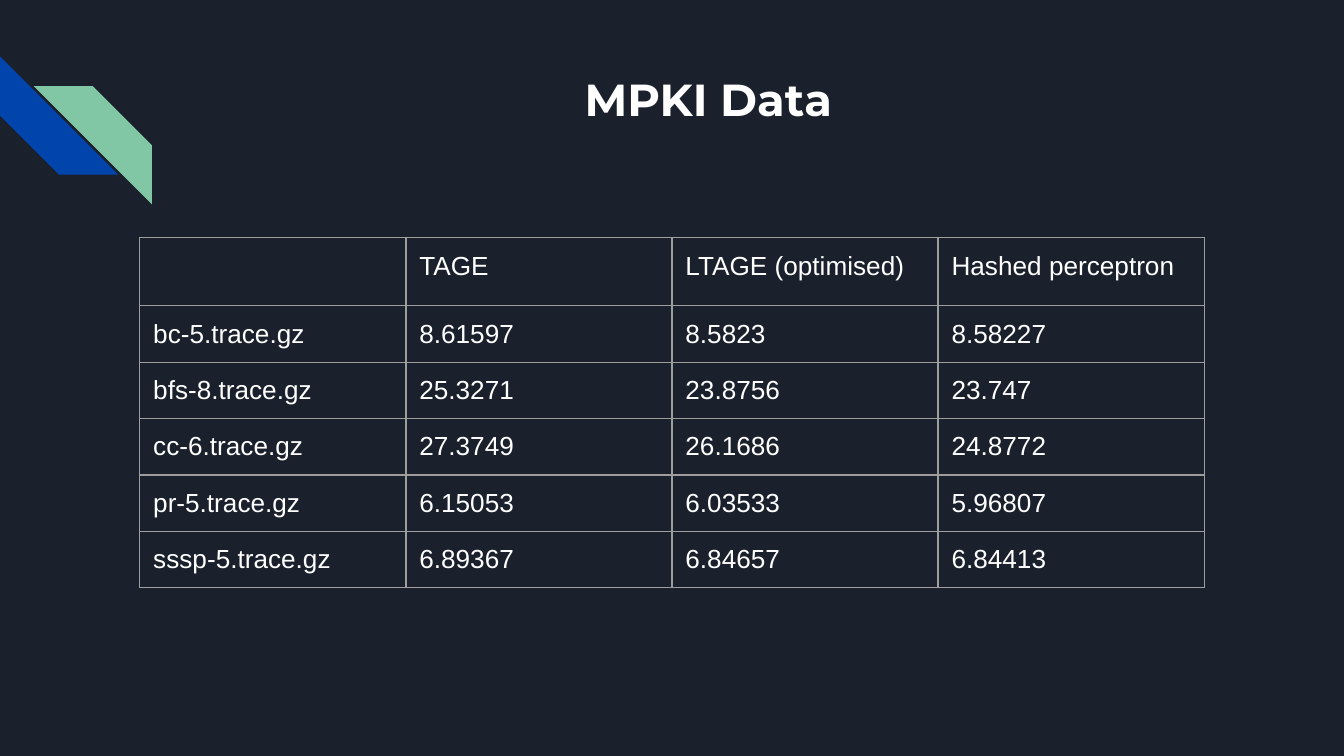
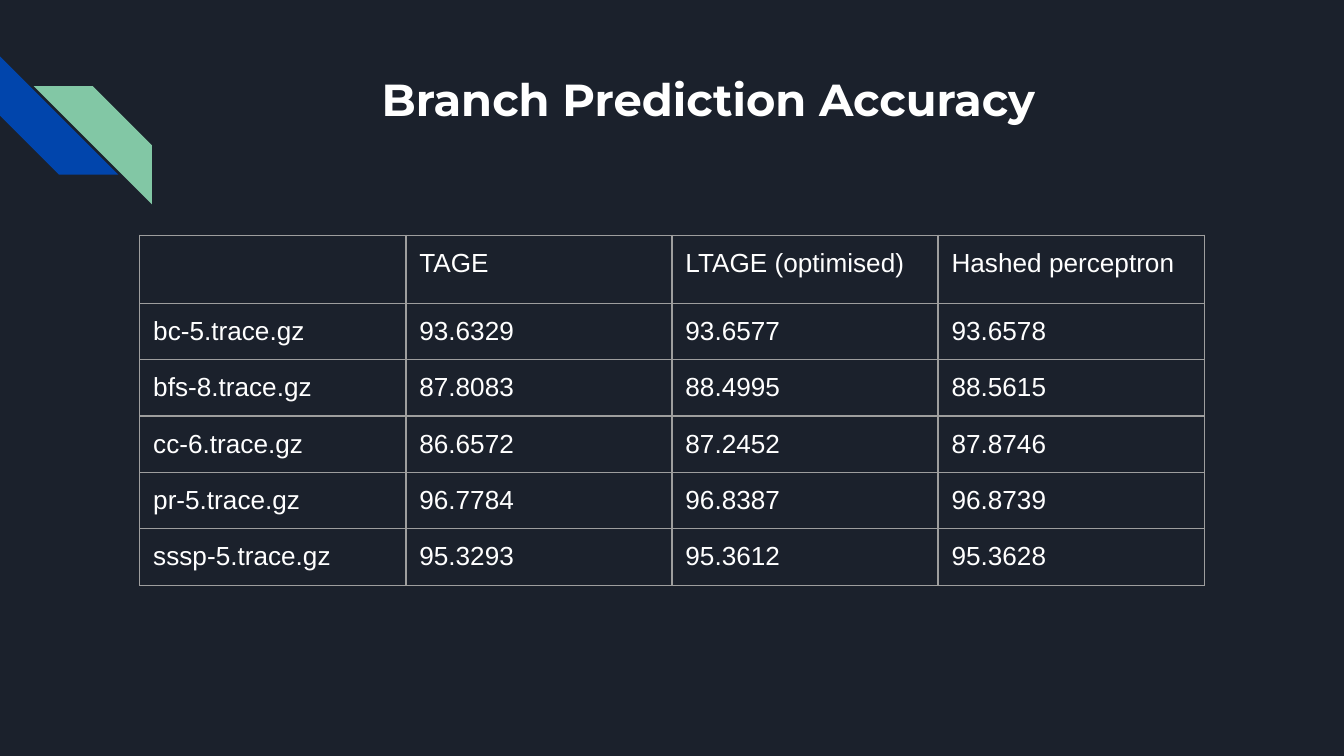
from lxml.etree import SubElement
from pptx import Presentation
from pptx.dml.color import RGBColor
from pptx.enum.shapes import MSO_SHAPE
from pptx.enum.text import MSO_ANCHOR, MSO_AUTO_SIZE, PP_ALIGN
from pptx.oxml.ns import qn
from pptx.util import Inches, Pt

NAVY = RGBColor(0x1B, 0x21, 0x2C)
BLUE = RGBColor(0x01, 0x45, 0xAC)
GREEN = RGBColor(0x82, 0xC7, 0xA5)
WHITE = RGBColor(0xFF, 0xFF, 0xFF)
GREY = RGBColor(0x9E, 0x9E, 0x9E)

# Table grid
TABLE_LEFT = Inches(1.04)
COLUMN_WIDTH = Inches(1.98)
ROW_HEIGHT = Inches(0.42)
INSET = Inches(0.1)
STRIPE_SIZE = Inches(0.88)

# Contents
PREDICTORS = ["", "TAGE", "LTAGE (optimised)", "Hashed perceptron"]
TRACES = ["bc-5.trace.gz", "bfs-8.trace.gz", "cc-6.trace.gz", "pr-5.trace.gz", "sssp-5.trace.gz"]
MPKI = [
    ("8.61597", "8.5823", "8.58227"),
    ("25.3271", "23.8756", "23.747"),
    ("27.3749", "26.1686", "24.8772"),
    ("6.15053", "6.03533", "5.96807"),
    ("6.89367", "6.84657", "6.84413"),
]
ACCURACY = [
    ("93.6329", "93.6577", "93.6578"),
    ("87.8083", "88.4995", "88.5615"),
    ("86.6572", "87.2452", "87.8746"),
    ("96.7784", "96.8387", "96.8739"),
    ("95.3293", "95.3612", "95.3628"),
]


def add_run(paragraph, text, font_name, size, bold=False):
    run = paragraph.add_run()
    run.text = text
    run.font.name = font_name
    run.font.size = Pt(size)
    run.font.bold = bold
    run.font.color.rgb = WHITE


def add_borders(cell):
    properties = cell._tc.get_or_add_tcPr()
    for side in ("a:lnL", "a:lnR", "a:lnT", "a:lnB"):
        line = SubElement(properties, qn(side), w=str(Pt(0.75)))
        fill = SubElement(line, qn("a:solidFill"))
        SubElement(fill, qn("a:srgbClr"), val=str(GREY))


prs = Presentation()
prs.slide_width = Inches(10)
prs.slide_height = Inches(5.625)

# Shared background
background = prs.slide_master.background.fill
background.solid()
background.fore_color.rgb = NAVY

for heading, results, table_top in [
    ("MPKI Data", MPKI, 1.77),
    ("Branch Prediction Accuracy", ACCURACY, 1.75),
]:
    slide = prs.slides.add_slide(prs.slide_layouts[5])

    # Corner stripes
    for left, top, color, rotation, flipped in [
        (0, 0.42, BLUE, 270, False),
        (0.25, 0.64, GREEN, 0, True),
    ]:
        stripe = slide.shapes.add_shape(
            MSO_SHAPE.DIAGONAL_STRIPE, Inches(left), Inches(top), STRIPE_SIZE, STRIPE_SIZE)
        stripe.adjustments[0] = 0.5
        stripe.rotation = rotation
        if flipped:
            stripe._element.spPr.get_or_add_xfrm().set("flipH", "1")
        stripe.shadow.inherit = False
        stripe.fill.solid()
        stripe.fill.fore_color.rgb = color
        stripe.line.fill.background()

    # Title
    title = slide.shapes.title
    title.left, title.top = Inches(1.42), Inches(0.43)
    title.width, title.height = Inches(7.7), Inches(1)
    frame = title.text_frame
    frame.word_wrap = True
    frame.auto_size = MSO_AUTO_SIZE.NONE
    frame.vertical_anchor = MSO_ANCHOR.TOP
    frame.margin_left = frame.margin_right = frame.margin_top = frame.margin_bottom = INSET
    frame.paragraphs[0].alignment = PP_ALIGN.CENTER
    add_run(frame.paragraphs[0], heading, "Montserrat", 24, bold=True)

    # Results per trace and predictor
    rows = [PREDICTORS] + [[trace, *values] for trace, values in zip(TRACES, results)]
    table = slide.shapes.add_table(
        len(rows), len(PREDICTORS), TABLE_LEFT, Inches(table_top),
        COLUMN_WIDTH * len(PREDICTORS), ROW_HEIGHT * len(rows)).table
    table.first_row = False
    table.horz_banding = False
    for row, texts in enumerate(rows):
        for column, text in enumerate(texts):
            cell = table.cell(row, column)
            cell.margin_left = cell.margin_right = cell.margin_top = cell.margin_bottom = INSET
            add_borders(cell)
            cell.fill.background()
            if text:
                add_run(cell.text_frame.paragraphs[0], text, "Arial", 14)

prs.save("out.pptx")
